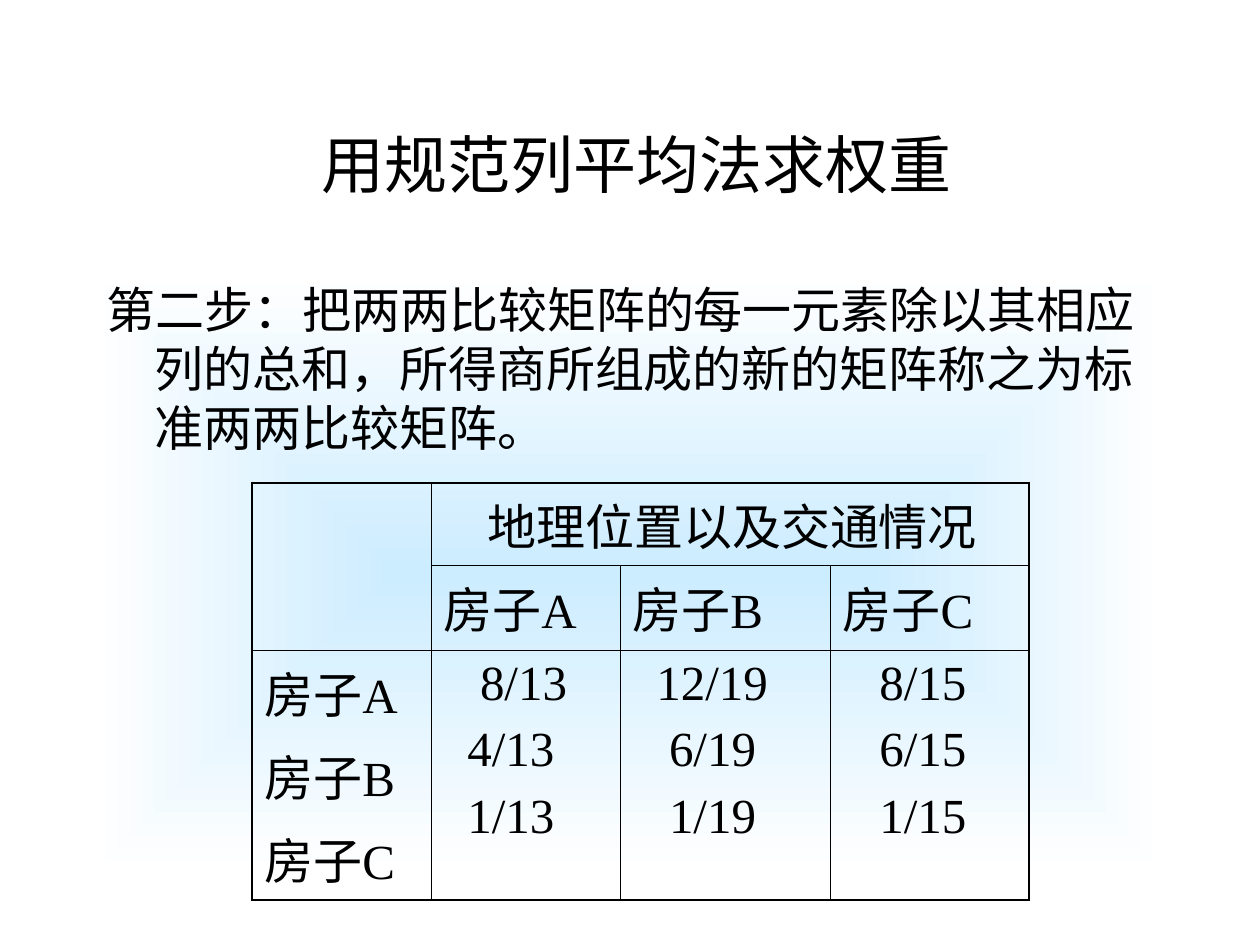
from pptx import Presentation
from pptx.dml.color import RGBColor
from pptx.enum.shapes import MSO_SHAPE
from pptx.enum.text import MSO_ANCHOR, PP_ALIGN
from pptx.oxml import parse_xml
from pptx.oxml.ns import nsdecls
from pptx.util import Inches, Pt

# Content: table paragraphs are (text, indent in inches)
TITLE = "用规范列平均法求权重"
STEP = ("第二步：把两两比较矩阵的每一元素除以其相应列的总和，"
        "所得商所组成的新的矩阵称之为标准两两比较矩阵。")
CRITERION = [("地理位置以及交通情况", 0.35)]
HOUSES = [("房子A", 0), ("房子B", 0), ("房子C", 0)]
RATIOS = [
    [("8/13", 0.29), ("4/13", 0.19), ("1/13", 0.19)],
    [("12/19", 0.19), ("6/19", 0.29), ("1/19", 0.29)],
    [("8/15", 0.29), ("6/15", 0.29), ("1/15", 0.29)],
]
ROWS = [
    [[], CRITERION, [], []],
    [[]] + [[house] for house in HOUSES],
    [HOUSES] + RATIOS,
]
COLUMN_WIDTHS = [1.42, 1.5, 1.67, 1.58]
ROW_HEIGHTS = [0.66, 0.67, 1.98]

THEME = {
    "font": "Times New Roman", "text": RGBColor(0, 0, 0),
    "title_size": Pt(36), "body_size": Pt(28), "gap": Pt(7),
    "glow": "CCECFF", "edge": "FFFFFF", "border": "000000",
    "outer": Pt(1.25), "inner": Pt(0.45),
}


def write(frame, paragraphs, size, hanging=0):
    """Fill a frame with (text, indent) paragraphs."""
    for index, (text, indent) in enumerate(paragraphs):
        paragraph = frame.paragraphs[0] if index == 0 else frame.add_paragraph()
        paragraph.text = text
        properties = paragraph._p.get_or_add_pPr()
        properties.set("marL", str(Inches(indent)))
        properties.set("indent", str(-Inches(hanging)))
        paragraph.alignment = PP_ALIGN.LEFT
        if index:
            paragraph.space_before = THEME["gap"]
        paragraph.font.name = THEME["font"]
        paragraph.font.size = size
        paragraph.font.color.rgb = THEME["text"]


def set_borders(cell, outer_sides):
    """Draw outer sides thicker than inner ones."""
    properties = cell._tc.get_or_add_tcPr()
    for position, side in enumerate("LRTB"):
        width = THEME["outer" if side in outer_sides else "inner"]
        properties.insert(position, parse_xml(
            f'<a:ln{side} {nsdecls("a")} w="{int(width)}"><a:solidFill>'
            f'<a:srgbClr val="{THEME["border"]}"/></a:solidFill></a:ln{side}>'))


presentation = Presentation()
presentation.slide_width, presentation.slide_height = Inches(10), Inches(7.5)
slide = presentation.slides.add_slide(presentation.slide_layouts[6])

# Title
title = slide.shapes.add_textbox(
    Inches(0.75), Inches(0.67), Inches(8.5), Inches(1.25)).text_frame
title.word_wrap = True
title.vertical_anchor = MSO_ANCHOR.MIDDLE
write(title, [(TITLE, 0.11)], THEME["title_size"])
title.paragraphs[0].alignment = PP_ALIGN.CENTER

# Explanation on a panel that fades out from its centre
panel = slide.shapes.add_shape(
    MSO_SHAPE.RECTANGLE, Inches(0.75), Inches(2.17), Inches(8.5), Inches(4.75))
panel.shadow.inherit = False
panel.line.fill.background()
panel.fill.background()
no_fill = panel._element.spPr.find(
    "{http://schemas.openxmlformats.org/drawingml/2006/main}noFill")
no_fill.getparent().replace(no_fill, parse_xml(
    f'<a:gradFill {nsdecls("a")} rotWithShape="1"><a:gsLst>'
    f'<a:gs pos="0"><a:srgbClr val="{THEME["glow"]}"/></a:gs>'
    f'<a:gs pos="100000"><a:srgbClr val="{THEME["edge"]}"/></a:gs></a:gsLst>'
    '<a:path path="rect"><a:fillToRect l="50000" t="50000" r="50000" b="50000"/>'
    '</a:path></a:gradFill>'))
explanation = panel.text_frame
explanation.word_wrap = True
explanation.vertical_anchor = MSO_ANCHOR.TOP
write(explanation, [(STEP, 0.38)], THEME["body_size"], hanging=0.38)

# Normalised comparison matrix
matrix = slide.shapes.add_table(
    len(ROW_HEIGHTS), len(COLUMN_WIDTHS), Inches(2), Inches(3.83),
    Inches(sum(COLUMN_WIDTHS)), Inches(sum(ROW_HEIGHTS))).table
matrix.first_row = matrix.horz_banding = False
for column, width in zip(matrix.columns, COLUMN_WIDTHS):
    column.width = Inches(width)
for row, height in zip(matrix.rows, ROW_HEIGHTS):
    row.height = Inches(height)

last_row, last_column = len(ROW_HEIGHTS) - 1, len(COLUMN_WIDTHS) - 1
for r, row in enumerate(ROWS):
    for c, paragraphs in enumerate(row):
        cell = matrix.cell(r, c)
        cell.fill.background()
        edges = {"L": c == 0, "R": c == last_column, "T": r == 0, "B": r == last_row}
        if paragraphs is CRITERION:
            edges["R"] = True
        set_borders(cell, [side for side, is_outer in edges.items() if is_outer])
        write(cell.text_frame, paragraphs, THEME["body_size"])
matrix.cell(0, 0).merge(matrix.cell(1, 0))
matrix.cell(0, 1).merge(matrix.cell(0, last_column))

presentation.save("out.pptx")
